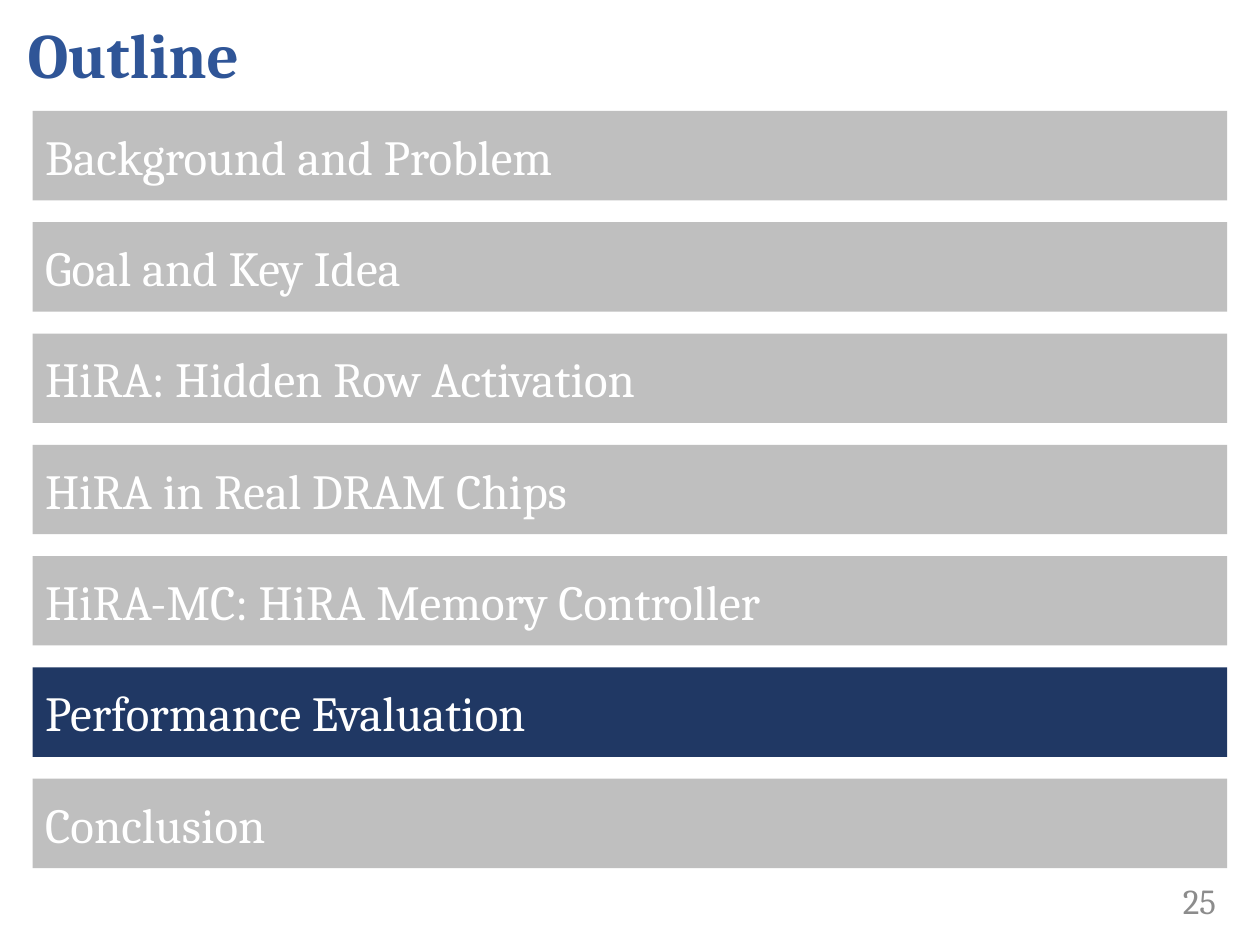
from dataclasses import dataclass

from pptx import Presentation
from pptx import util as u
from pptx.dml.color import RGBColor
from pptx.enum import shapes, text


@dataclass(frozen=True)
class Theme:
    font: str = "Cambria"
    title: str = "2F5597"
    active: str = "203864"
    muted: str = "BFBFBF"
    on_bar: str = "FFFFFF"
    number: str = "8C8C8C"
    title_size: int = 36
    bar_size: int = 28
    number_size: int = 20


THEME = Theme()
WIDTH, HEIGHT = 10, 7.5

# Bars are spread evenly from the first top to the last top
BAR_LEFT, BAR_WIDTH, BAR_HEIGHT = 0.26, 9.48, 0.71
FIRST_TOP, LAST_TOP = 0.88, 6.18

SECTIONS = [
    "Background and Problem",
    "Goal and Key Idea",
    "HiRA: Hidden Row Activation",
    "HiRA in Real DRAM Chips",
    "HiRA-MC: HiRA Memory Controller",
    "Performance Evaluation",
    "Conclusion",
]
CURRENT = "Performance Evaluation"


def write(box, words, *, size, color, bold=False,
          align=text.PP_ALIGN.LEFT, after=0):
    frame = box.text_frame
    frame.word_wrap = True
    frame.vertical_anchor = text.MSO_ANCHOR.MIDDLE
    para = frame.paragraphs[0]
    para.alignment = align
    para.space_after = u.Pt(after)
    span = para.add_run()
    span.text = words
    span.font.name = THEME.font
    span.font.size = u.Pt(size)
    span.font.bold = bold
    span.font.color.rgb = RGBColor.from_string(color)


def add_label(page, words, left, top, width, height, **style):
    box = page.shapes.add_textbox(*map(u.Inches, (left, top, width, height)))
    write(box, words, **style)


def add_bar(page, words, top, fill):
    bar = page.shapes.add_shape(
        shapes.MSO_SHAPE.RECTANGLE,
        *map(u.Inches, (BAR_LEFT, top, BAR_WIDTH, BAR_HEIGHT)))
    bar.shadow.inherit = False
    bar.fill.solid()
    bar.fill.fore_color.rgb = RGBColor.from_string(fill)
    bar.line.fill.background()
    write(bar, words, size=THEME.bar_size, color=THEME.on_bar)


def main():
    deck = Presentation()
    deck.slide_width, deck.slide_height = u.Inches(WIDTH), u.Inches(HEIGHT)
    page = deck.slides.add_slide(deck.slide_layouts[6])

    # Title
    add_label(page, "Outline", 0.12, 0, 9.71, 0.84, size=THEME.title_size,
              color=THEME.title, bold=True, after=6)

    # Outline bars, with the current section highlighted
    pitch = (LAST_TOP - FIRST_TOP) / (len(SECTIONS) - 1)
    for row, section in enumerate(SECTIONS):
        fill = THEME.active if section == CURRENT else THEME.muted
        add_bar(page, section, FIRST_TOP + row * pitch, fill)

    # Page number
    add_label(page, "25", 8.67, 6.95, 1.08, 0.4, size=THEME.number_size,
              color=THEME.number, align=text.PP_ALIGN.RIGHT)

    deck.save("out.pptx")


if __name__ == "__main__":
    main()
